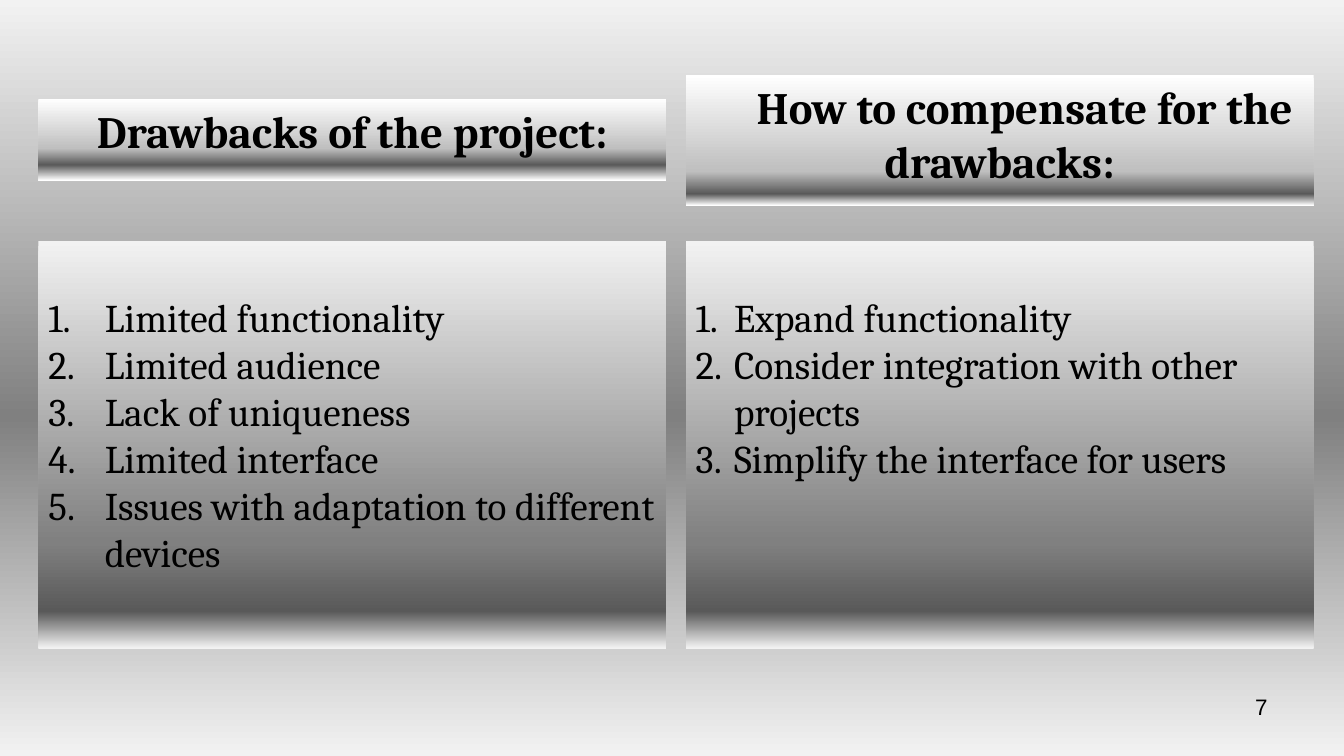
"""Build the slide that sets project drawbacks beside their remedies."""
from copy import deepcopy

from pptx import Presentation
from pptx.dml.color import RGBColor
from pptx.enum.text import MSO_ANCHOR, MSO_AUTO_SIZE, PP_ALIGN
from pptx.oxml.ns import qn
from pptx.util import Inches, Pt

TOP = MSO_ANCHOR.TOP
NO_FIT = MSO_AUTO_SIZE.NONE
LEFT, CENTER, RIGHT = PP_ALIGN.LEFT, PP_ALIGN.CENTER, PP_ALIGN.RIGHT

COLUMNS = [
    {
        "heading": "Drawbacks of the project:",
        "heading_top": 0.98, "heading_height": 0.81, "heading_indent": 0,
        "heading_stops": [(0, "FFFFFF"), (61, "BFBFBF"), (81, "595959"), (100, "FFFFFF")],
        "points": [
            "Limited functionality",
            "Limited audience",
            "Lack of uniqueness",
            "Limited interface",
            "Issues with adaptation to different devices",
        ],
        "hanging": 0.56,
    },
    {
        "heading": "How to compensate for the drawbacks:",
        "heading_top": 0.74, "heading_height": 1.3, "heading_indent": 0.5,
        "heading_stops": [(0, "FFFFFF"), (74, "BFBFBF"), (91, "595959"), (100, "FFFFFF")],
        "points": [
            "Expand functionality",
            "Consider integration with other projects",
            "Simplify the interface for users",
        ],
        "hanging": 0.38,
    },
]
PAGE_NUMBER = "7"
PAGE_STOPS = [(0, "F2F2F2"), (55, "808080"), (100, "F2F2F2")]
LIST_STOPS = [(0, "F2F2F2"), (74, "808080"), (91, "595959"), (100, "F2F2F2")]
COLUMN_LEFT, COLUMN_STEP, COLUMN_WIDTH = 0.38, 6.42, 6.23
LIST_TOP, LIST_HEIGHT, LIST_INSET = 2.39, 4.04, 0.52
COMPARISON_LAYOUT = 4


def color(value):
    return RGBColor.from_string(value)


def paint_gradient(fill, owner, stops):
    fill.gradient()
    fill.gradient_angle = 270
    stop_list = next(owner.iter(qn("a:gsLst")))
    while len(stop_list) < len(stops):
        stop_list.append(deepcopy(stop_list[-1]))
    for stop, (percent, value) in zip(fill.gradient_stops, stops):
        stop.position = percent / 100
        stop.color.rgb = color(value)


def place(box, left, top, width, height):
    box.left, box.top = Inches(left), Inches(top)
    box.width, box.height = Inches(width), Inches(height)
    frame = box.text_frame
    frame.word_wrap = True
    frame.auto_size = NO_FIT
    frame.vertical_anchor = TOP
    return frame


def write(para, text, size, font, align, bold=False, margin=0, indent=0, numbered=False):
    para.alignment = align
    para.space_before = Pt(0)
    properties = para._p.get_or_add_pPr()
    properties.set("marL", str(Inches(margin)))
    properties.set("indent", str(Inches(indent)))
    if numbered:
        bullet = properties.makeelement(qn("a:buAutoNum"), {"type": "arabicPeriod"})
        properties.append(bullet)
    span = para.add_run()
    span.text = text
    span.font.size = Pt(size)
    span.font.name = font
    span.font.bold = bold
    span.font.color.rgb = color("000000")


def add_column(page, position, column):
    left = COLUMN_LEFT + position * COLUMN_STEP
    heading = page.placeholders[1 + 2 * position]
    frame = place(heading, left, column["heading_top"], COLUMN_WIDTH, column["heading_height"])
    paint_gradient(heading.fill, heading._element, column["heading_stops"])
    write(frame.paragraphs[0], column["heading"], 32, "Cambria", CENTER,
          bold=True, indent=column["heading_indent"])

    body = page.placeholders[2 + 2 * position]
    frame = place(body, left, LIST_TOP, COLUMN_WIDTH, LIST_HEIGHT)
    frame.margin_top = Inches(LIST_INSET)
    paint_gradient(body.fill, body._element, LIST_STOPS)
    for number, point in enumerate(column["points"]):
        para = frame.add_paragraph() if number else frame.paragraphs[0]
        write(para, point, 28, "Cambria", LEFT,
              margin=column["hanging"], indent=-column["hanging"], numbered=True)


def main():
    deck = Presentation()
    deck.slide_width, deck.slide_height = Inches(13.33), Inches(7.5)
    page = deck.slides.add_slide(deck.slide_layouts[COMPARISON_LAYOUT])
    title = page.shapes.title._element
    title.getparent().remove(title)
    paint_gradient(page.background.fill, page._element, PAGE_STOPS)
    for position, column in enumerate(COLUMNS):
        add_column(page, position, column)
    number_box = page.shapes.add_textbox(0, 0, 0, 0)
    frame = place(number_box, 9.56, 6.83, 3.11, 0.52)
    write(frame.paragraphs[0], PAGE_NUMBER, 16, "Arial", RIGHT)
    deck.save("out.pptx")


if __name__ == "__main__":
    main()
